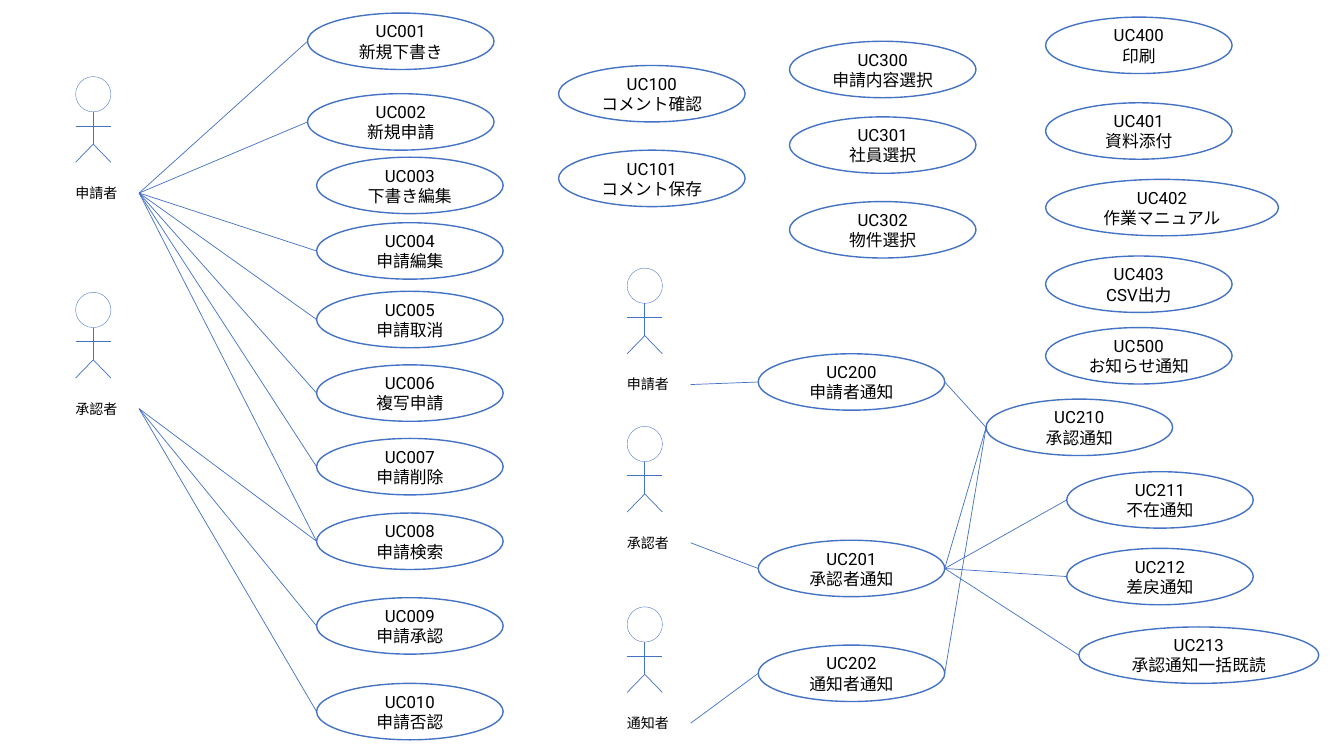
from lxml.etree import SubElement
from pptx import Presentation
from pptx.dml.color import RGBColor
from pptx.enum.shapes import MSO_CONNECTOR, MSO_SHAPE
from pptx.enum.text import MSO_ANCHOR, PP_ALIGN
from pptx.oxml.ns import qn
from pptx.util import Inches, Pt

FONT = "Roboto"
BLUE, WHITE, BLACK = "4472C4", "FFFFFF", "000000"
CASE_WIDTH, CASE_HEIGHT = 1.85, 0.56
HEAD_SIZE = 0.35
LABEL_WIDTH, LABEL_HEIGHT = 0.73, 0.27
RECTANGLE_RIGHT, ELLIPSE_LEFT, ELLIPSE_RIGHT = 3, 2, 6

USE_CASE_COLUMNS = [
    (3.05, [("UC001", "新規下書き", 0.13), ("UC002", "新規申請", 0.93)]),
    (3.14, [("UC003", "下書き編集", 1.56), ("UC004", "申請編集", 2.21),
            ("UC005", "申請取消", 2.89), ("UC006", "複写申請", 3.62),
            ("UC007", "申請削除", 4.35), ("UC008", "申請検索", 5.09),
            ("UC009", "申請承認", 5.93), ("UC010", "申請否認", 6.78)]),
    (5.54, [("UC100", "コメント確認", 0.65), ("UC101", "コメント保存", 1.49)]),
    (7.52, [("UC200", "申請者通知", 3.51), ("UC201", "承認者通知", 5.36),
            ("UC202", "通知者通知", 6.4)]),
    (9.78, [("UC210", "承認通知", 3.96)]),
    (10.58, [("UC211", "不在通知", 4.68), ("UC212", "差戻通知", 5.44)]),
    (10.7, [("UC213", "承認通知一括既読", 6.22)]),
    (7.83, [("UC300", "申請内容選択", 0.41), ("UC301", "社員選択", 1.16),
            ("UC302", "物件選択", 2)]),
    (10.37, [("UC400", "印刷", 0.17), ("UC401", "資料添付", 1.02),
             ("UC402", "作業マニュアル", 1.78), ("UC403", "CSV出力", 2.54),
             ("UC500", "お知らせ通知", 3.25)]),
]
WIDE_CASES = {"UC402": 2.31, "UC213": 2.38}

ACTORS = [
    ("申請者", 0.75, 0.76, ["UC001", "UC002", "UC004", "UC005", "UC006", "UC007", "UC008"]),
    ("承認者", 0.75, 2.9, ["UC008", "UC009", "UC010"]),
    ("申請者", 6.22, 2.66, ["UC200"]),
    ("承認者", 6.22, 4.23, ["UC201"]),
    ("通知者", 6.22, 6.02, ["UC202"]),
]
CASE_LINKS = {
    "UC200": ["UC210"],
    "UC201": ["UC210", "UC211", "UC212", "UC213"],
    "UC202": ["UC210"],
}


def color(value):
    return RGBColor.from_string(value)


def add_ellipse(shapes, left, top, width, height, line_width):
    shape = shapes.add_shape(MSO_SHAPE.OVAL, Inches(left), Inches(top), Inches(width), Inches(height))
    shape.shadow.inherit = False
    shape.fill.solid()
    shape.fill.fore_color.rgb = color(WHITE)
    shape.line.color.rgb = color(BLUE)
    shape.line.width = Pt(line_width)
    return shape


def add_line(shapes, start, end):
    connector = shapes.add_connector(MSO_CONNECTOR.STRAIGHT, *start, *end)
    connector.line.color.rgb = color(BLUE)
    connector.line.width = Pt(0.5)
    SubElement(connector._element.spPr, qn("a:effectLst"))
    return connector


def format_paragraph(paragraph, size):
    paragraph.font.name = FONT
    paragraph.font.size = Pt(size)
    paragraph.font.color.rgb = color(BLACK)


def add_use_case(shapes, code, name, left, top):
    shape = add_ellipse(shapes, left, top, WIDE_CASES.get(code, CASE_WIDTH), CASE_HEIGHT, 1)
    frame = shape.text_frame
    frame.text = f"{code}\n{name}"
    frame.vertical_anchor = MSO_ANCHOR.MIDDLE
    for paragraph in frame.paragraphs:
        paragraph.alignment = PP_ALIGN.CENTER
        format_paragraph(paragraph, 12)
    return shape


def add_actor(shapes, name, left, top):
    figure = shapes.add_group_shape().shapes
    add_ellipse(figure, left, top, HEAD_SIZE, HEAD_SIZE, 0.25)
    right, middle = left + HEAD_SIZE, left + HEAD_SIZE / 2
    neck, arms, hips, feet = (top + offset for offset in (HEAD_SIZE, 0.49, 0.67, 0.85))
    limbs = [
        ((middle, neck), (middle, hips)),
        ((left, arms), (right, arms)),
        ((middle, hips), (left, feet)),
        ((middle, hips), (right, feet)),
    ]
    for start, end in limbs:
        add_line(figure, [Inches(value) for value in start], [Inches(value) for value in end])
    label = shapes.add_textbox(
        Inches(left - 0.1), Inches(top + 1.02), Inches(LABEL_WIDTH), Inches(LABEL_HEIGHT))
    label.text_frame.word_wrap = True
    label.text_frame.text = name
    format_paragraph(label.text_frame.paragraphs[0], 10)
    return label


def link(shapes, source, source_site, target):
    start = (source.left + source.width, source.top + source.height // 2)
    end = (target.left, target.top + target.height // 2)
    connector = add_line(shapes, start, end)
    ends = connector._element.nvCxnSpPr.cNvCxnSpPr
    for tag, shape, site in (("a:stCxn", source, source_site), ("a:endCxn", target, ELLIPSE_LEFT)):
        SubElement(ends, qn(tag), id=str(shape.shape_id), idx=str(site))


presentation = Presentation()
presentation.slide_width = Inches(13.33)
presentation.slide_height = Inches(7.5)
slide = presentation.slides.add_slide(presentation.slide_layouts[6])
shapes = slide.shapes

use_cases = {
    code: add_use_case(shapes, code, name, left, top)
    for left, column in USE_CASE_COLUMNS
    for code, name, top in column
}

for name, left, top, targets in ACTORS:
    label = add_actor(shapes, name, left, top)
    for target in targets:
        link(shapes, label, RECTANGLE_RIGHT, use_cases[target])

for source, targets in CASE_LINKS.items():
    for target in targets:
        link(shapes, use_cases[source], ELLIPSE_RIGHT, use_cases[target])

presentation.save("out.pptx")
